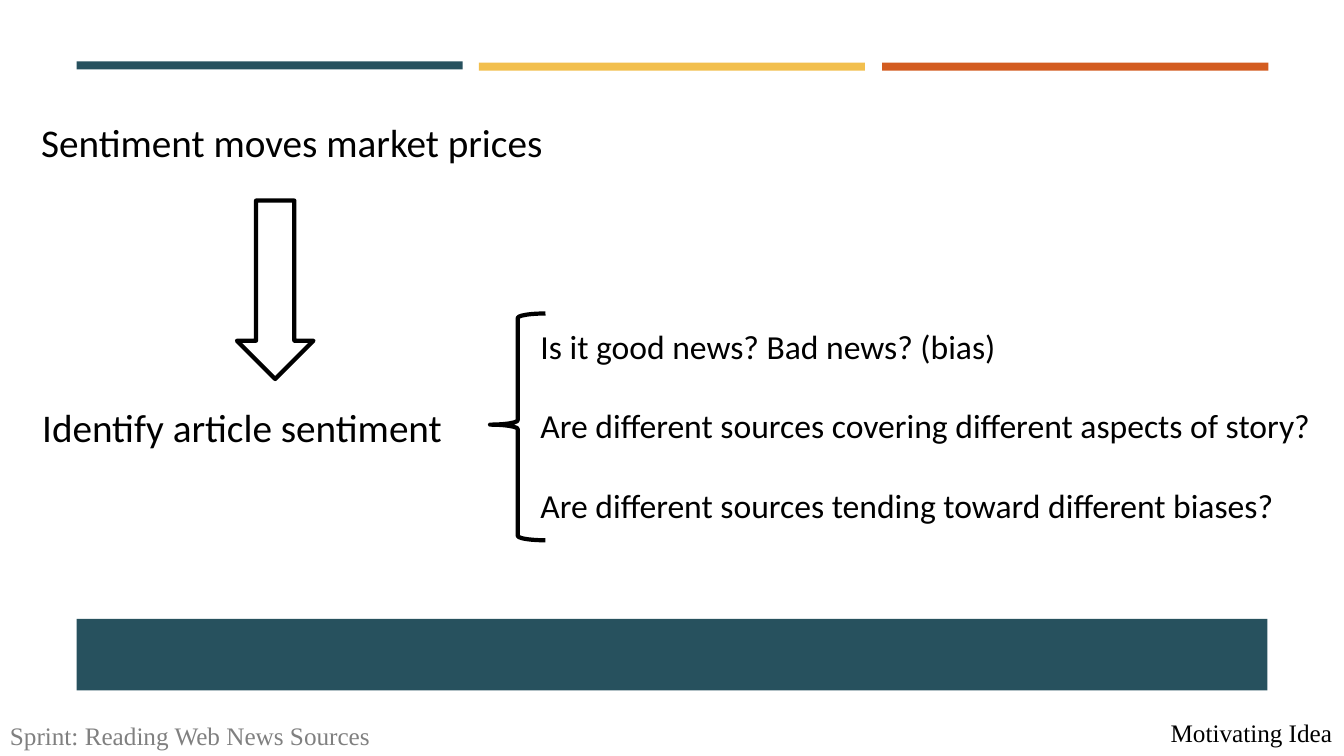
from lxml import etree
from pptx import Presentation
from pptx.dml.color import RGBColor
from pptx.enum.shapes import MSO_SHAPE
from pptx.enum.text import MSO_ANCHOR, MSO_AUTO_SIZE, PP_ALIGN
from pptx.oxml.ns import qn
from pptx.util import Inches, Pt

RECT = MSO_SHAPE.RECTANGLE
BRACE = MSO_SHAPE.RIGHT_BRACE
ARROW = MSO_SHAPE.DOWN_ARROW
TOP = MSO_ANCHOR.TOP
GROW = MSO_AUTO_SIZE.SHAPE_TO_FIT_TEXT
LEFT = PP_ALIGN.LEFT

TEAL, GOLD, RUST = "27515E", "F2BF4E", "D35C20"
BLACK, GREY = "000000", "808080"
BARS = [(0.76, 0.61, TEAL), (4.75, 0.62, GOLD), (8.75, 0.62, RUST)]
NOTE = {"name": "Times New Roman", "size": Pt(18), "bold": False}
CLAIM = {"name": "Calibri", "size": Pt(28)}
ASK = {"name": "Calibri", "size": Pt(24)}
ASKS = [
    "Is it good news? Bad news? (bias)",
    "Are different sources covering different aspects of story?",
    "Are different sources tending toward different biases?",
]


def color(code):
    return RGBColor.from_string(code)


def assign(item, values):
    for key, value in values.items():
        setattr(item, key, value)


def place(shape, box):
    names = ("left", "top", "width", "height")
    assign(shape, dict(zip(names, map(Inches, box))))


def write(shape, box, lines, style, ink=BLACK, wrap=False, gap=0):
    place(shape, box)
    frame = shape.text_frame
    frame.text = "\n".join(lines)
    assign(frame, {"word_wrap": wrap, "auto_size": GROW, "vertical_anchor": TOP})
    for index, para in enumerate(frame.paragraphs):
        props = para._p.get_or_add_pPr()
        props.set("marL", "0")
        props.set("indent", "0")
        etree.SubElement(props, qn("a:buNone"))
        before = Pt(gap if index else 0)
        assign(para, {"alignment": LEFT, "space_before": before, "space_after": Pt(gap)})
        for run in para.runs:
            assign(run.font, style)
            run.font.color.rgb = color(ink)


def label(slide, box, text, style, ink=BLACK):
    shape = slide.shapes.add_textbox(*map(Inches, box))
    write(shape, box, [text], style, ink)


def block(slide, box, fill):
    shape = slide.shapes.add_shape(RECT, *map(Inches, box))
    shape.shadow.inherit = False
    shape.fill.solid()
    shape.fill.fore_color.rgb = color(fill)
    shape.line.fill.background()


def outline(slide, kind, box):
    shape = slide.shapes.add_shape(kind, *map(Inches, box))
    shape.shadow.inherit = False
    shape.fill.background()
    shape.line.color.rgb = color(BLACK)
    shape.line.width = Pt(3)
    return shape


def main():
    deck = Presentation()
    assign(deck, {"slide_width": Inches(13.33), "slide_height": Inches(7.5)})
    slide = deck.slides.add_slide(deck.slide_layouts[1])

    block(slide, (0.76, 6.14, 11.81, 0.71), TEAL)
    for left, top, fill in BARS:
        block(slide, (left, top, 3.83, 0.08), fill)

    write(slide.shapes.title, (11.51, 7.07, 1.82, 0.4), ["Motivating Idea"], NOTE)
    write(slide.placeholders[1], (5.26, 3.18, 7.89, 2.1), ASKS, ASK, wrap=True, gap=14)
    label(slide, (0, 7.1, 3.81, 0.4), "Sprint: Reading Web News Sources", NOTE, GREY)
    label(slide, (0.31, 1.12, 5.23, 0.57), "Sentiment moves market prices", CLAIM)
    label(slide, (0.32, 3.95, 4.37, 0.57), "Identify article sentiment", CLAIM)

    outline(slide, ARROW, (2.35, 1.99, 0.76, 1.77))
    brace = outline(slide, BRACE, (4.86, 3.11, 0.55, 2.25))
    brace.rotation = 180
    brace.adjustments[0] = 0.08
    brace.adjustments[1] = 0.51

    deck.save("out.pptx")


if __name__ == "__main__":
    main()
